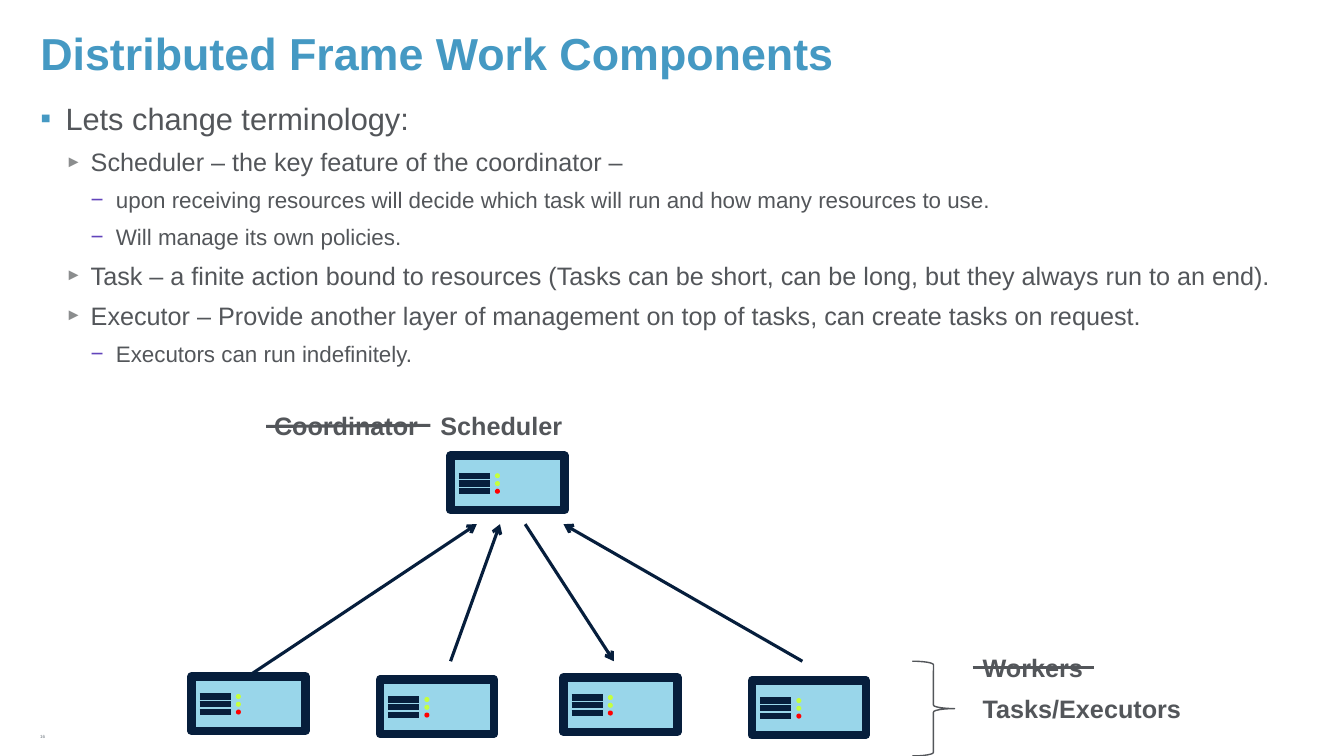
"""Build the slide on the components of a distributed framework."""
from dataclasses import dataclass

from lxml import etree
from pptx import Presentation
from pptx.dml.color import RGBColor
from pptx.enum.shapes import MSO_CONNECTOR, MSO_SHAPE
from pptx.enum.text import MSO_ANCHOR, MSO_AUTO_SIZE, PP_ALIGN
from pptx.oxml.ns import qn
from pptx.util import Inches, Length, Pt

STRAIGHT = MSO_CONNECTOR.STRAIGHT
PROCESS, OVAL, BRACE = MSO_SHAPE.FLOWCHART_PROCESS, MSO_SHAPE.OVAL, MSO_SHAPE.RIGHT_BRACE
TOP, MIDDLE, BOTTOM = MSO_ANCHOR.TOP, MSO_ANCHOR.MIDDLE, MSO_ANCHOR.BOTTOM
LEFT = PP_ALIGN.LEFT
NO_FIT, GROW = MSO_AUTO_SIZE.NONE, MSO_AUTO_SIZE.SHAPE_TO_FIT_TEXT


@dataclass(frozen=True)
class Theme:
    """Font, colours and type sizes of the slide."""
    font: str = "Arial"
    title: str = "4599C3"
    text: str = "53565A"
    number: str = "6A737B"
    navy: str = "061E3C"
    panel: str = "99D6EA"
    lights: tuple[str, ...] = ("C5FF3E", "C5FF3E", "FF0000")
    title_size: float = 32
    label_size: float = 18
    number_size: float = 3.2


@dataclass(frozen=True)
class Level:
    """Look of one outline level."""
    size: float
    bullet: str
    color: str
    scale: int


@dataclass(frozen=True)
class Item:
    """One outline entry."""
    level: int
    text: str


@dataclass(frozen=True)
class Area:
    """Place on the grid, in columns and rows."""
    column: float
    row: float
    columns: float
    rows: float


@dataclass(frozen=True)
class Label:
    """Bold caption in the diagram."""
    text: str
    area: Area


@dataclass(frozen=True)
class Stroke:
    """Straight line between two grid points."""
    start: tuple[float, float]
    end: tuple[float, float]
    color: str
    weight: float = 2.25
    arrow: bool = False


THEME = Theme()
CELL = 0.1
COLUMNS, ROWS = 133.33, 75
LEVELS = (Level(22, "▪", THEME.title, 100), Level(18, "►", "8B8D8E", 65),
          Level(16, "−", "6244BB", 100))
OUTLINE = (
    Item(0, "Lets change terminology:"),
    Item(1, "Scheduler – the key feature of the coordinator –"),
    Item(2, "upon receiving resources will decide which task will run and how many resources to use."),
    Item(2, "Will manage its own policies."),
    Item(1, "Task – a finite action bound to resources (Tasks can be short, can be long, "
            "but they always run to an end)."),
    Item(1, "Executor – Provide another layer of management on top of tasks, "
            "can create tasks on request."),
    Item(2, "Executors can run indefinitely."),
)
SERVERS = ((19, 67.1), (37.7, 67.4), (55.9, 67.2), (74.6, 67.5), (44.7, 45.2))
MESSAGES = tuple(Stroke(start, end, THEME.navy, arrow=True) for start, end in (
    ((24.6, 67.1), (47.3, 52)), ((44.7, 65.6), (49.6, 52)),
    ((52.1, 52), (60.9, 65.6)), ((79.6, 65.6), (55.9, 52))))
LABELS = (
    Label("Scheduler", Area(42.7, 40.2, 14.2, 4)),
    Label("Tasks/Executors", Area(96.5, 68.3, 21.9, 4)),
    Label("Coordinator", Area(26.2, 40.2, 16.5, 4)),
    Label("Workers", Area(96.5, 64.2, 12.1, 4)),
)
STRIKES = (Stroke((96.5, 66.2), (108.5, 66.2), THEME.text),
           Stroke((26.4, 42.3), (42.7, 42.2), THEME.text))


def cells(count: float) -> Length:
    """Turn a count of grid cells into a length."""
    return Inches(count * CELL)


def bounds(area: Area) -> tuple[Length, ...]:
    """Return left, top, width and height of an area."""
    return tuple(cells(part) for part in (area.column, area.row, area.columns, area.rows))


def style(para, size: float, color: str, bold: bool = False) -> None:
    """Format the runs of a paragraph."""
    para.alignment = LEFT
    for span in para.runs:
        span.font.name, span.font.size, span.font.bold = THEME.font, Pt(size), bold
        span.font.color.rgb = RGBColor.from_string(color)


def place(box, area: Area, anchor, inset: float = 0.5) -> None:
    """Move a text shape and set its frame."""
    box.left, box.top, box.width, box.height = bounds(area)
    frame = box.text_frame
    frame.auto_size, frame.word_wrap, frame.vertical_anchor = NO_FIT, True, anchor
    frame.margin_left = frame.margin_right = cells(1)
    frame.margin_top = frame.margin_bottom = cells(inset)


def add_bullet(para, level: int) -> None:
    """Give a paragraph the bullet and indent of its level."""
    look = LEVELS[level]
    props = para._p.get_or_add_pPr()
    props.set("marL", str(cells(2.5 * (level + 1))))
    props.set("indent", str(-cells(2.5)))
    color = etree.SubElement(props, qn("a:buClr"))
    etree.SubElement(color, qn("a:srgbClr"), val=look.color)
    etree.SubElement(props, qn("a:buSzPct"), val=str(look.scale * 1000))
    etree.SubElement(props, qn("a:buFont"), typeface=THEME.font)
    etree.SubElement(props, qn("a:buChar"), char=look.bullet)


def fill_outline(body) -> None:
    """Write the outline into the body placeholder."""
    place(body, Area(3, 9.7, 125.3, 57.3), TOP, 0)
    frame = body.text_frame
    frame.text = "\n".join(item.text for item in OUTLINE)
    for para, item in zip(frame.paragraphs, OUTLINE):
        para.level = item.level
        para.line_spacing, para.space_before, para.space_after = 1.05, Pt(6), Pt(0)
        style(para, LEVELS[item.level].size, THEME.text)
        add_bullet(para, item.level)


def add_stroke(shapes, stroke: Stroke) -> None:
    """Draw a line, with an arrowhead at its end if asked."""
    ends = (cells(part) for part in stroke.start + stroke.end)
    line = shapes.add_connector(STRAIGHT, *ends)
    line.line.color.rgb = RGBColor.from_string(stroke.color)
    line.line.width = Pt(stroke.weight)
    props = line.element.spPr
    if stroke.arrow:
        etree.SubElement(props.find(qn("a:ln")), qn("a:tailEnd"), type="arrow")
    etree.SubElement(props, qn("a:effectLst"))


def add_figure(shapes, kind, area: Area, fill: str = "", edge: str = "", weight: float = 1) -> None:
    """Draw a preset shape; an empty colour means none."""
    figure = shapes.add_shape(kind, *bounds(area))
    figure.shadow.inherit = False
    for part, color in ((figure.fill, fill), (figure.line.fill, edge)):
        if color:
            part.solid()
            part.fore_color.rgb = RGBColor.from_string(color)
        else:
            part.background()
    if edge:
        figure.line.width = Pt(weight)


def add_server(slide, column: float, row: float) -> None:
    """Draw a server with three drives and three lights."""
    shapes = slide.shapes.add_group_shape().shapes
    add_figure(shapes, PROCESS, Area(column, row, 11.3, 5.4), THEME.panel, THEME.navy, 6)
    levels = [row + 0.77 * index for index in range(len(THEME.lights))]
    for level in levels:
        add_stroke(shapes, Stroke((column + 0.8, level + 2), (column + 3.9, level + 2), THEME.navy, 4.5))
    for level, light in zip(levels, THEME.lights):
        add_figure(shapes, OVAL, Area(column + 4.4, level + 1.75, 0.5, 0.5), light)


def add_label(slide, label: Label) -> None:
    """Write a bold caption."""
    box = slide.shapes.add_textbox(*bounds(label.area))
    place(box, label.area, TOP)
    box.text_frame.text = label.text
    box.text_frame.word_wrap, box.text_frame.auto_size = False, GROW
    style(box.text_frame.paragraphs[0], THEME.label_size, THEME.text, True)


def main() -> None:
    """Build and save the deck."""
    deck = Presentation()
    deck.slide_width, deck.slide_height = cells(COLUMNS), cells(ROWS)
    slide = deck.slides.add_slide(deck.slide_layouts[1])
    title, body = slide.placeholders
    place(title, Area(3, 2, 125.3, 6.4), BOTTOM)
    title.text_frame.text = "Distributed Frame Work Components"
    style(title.text_frame.paragraphs[0], THEME.title_size, THEME.title, True)
    fill_outline(body)
    number_area = Area(3, 72.3, 6.2, 1.5)
    number = slide.shapes.add_textbox(*bounds(number_area))
    place(number, number_area, MIDDLE, 0)
    number.text_frame.text = "16"
    style(number.text_frame.paragraphs[0], THEME.number_size, THEME.number)
    for column, row in SERVERS:
        add_server(slide, column, row)
    for message in MESSAGES:
        add_stroke(slide.shapes, message)
    add_figure(slide.shapes, BRACE, Area(90.5, 65.6, 4.2, 9.4), edge=THEME.text)
    for label in LABELS:
        add_label(slide, label)
    for strike in STRIKES:
        add_stroke(slide.shapes, strike)
    deck.save("out.pptx")


if __name__ == "__main__":
    main()
